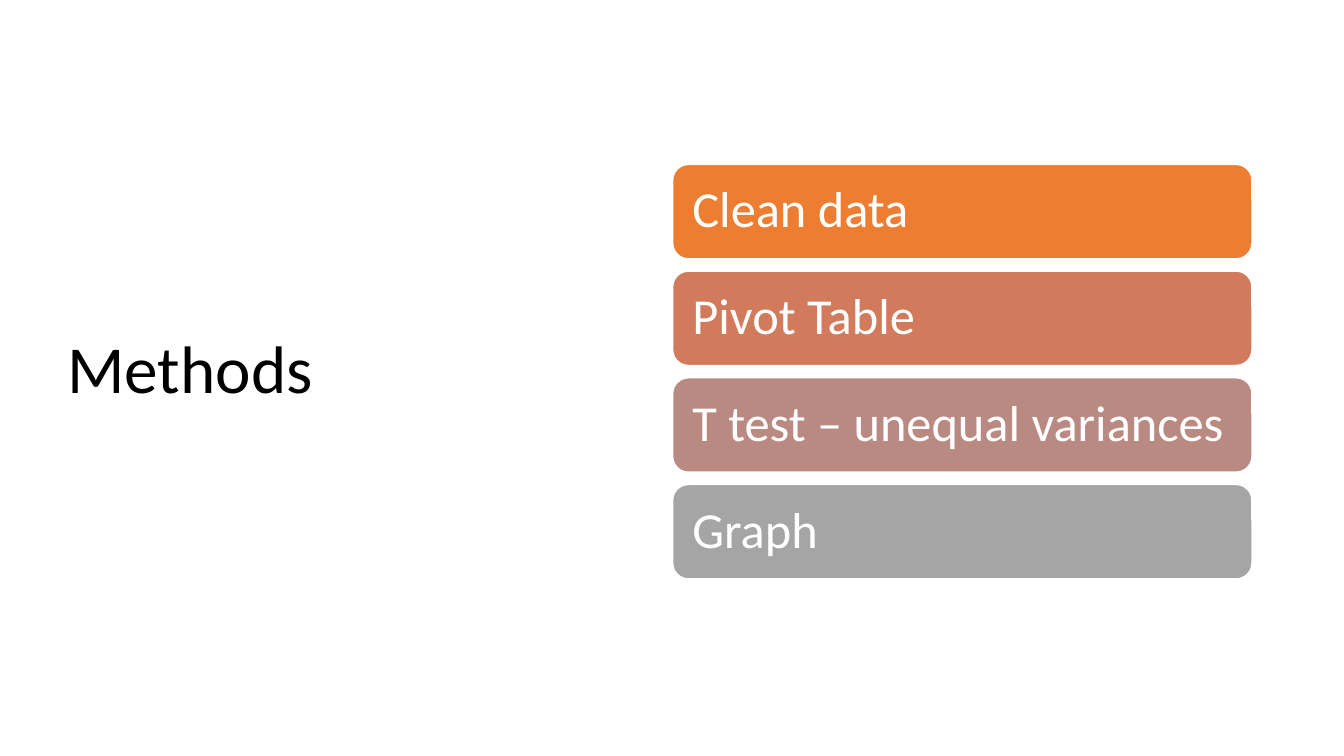
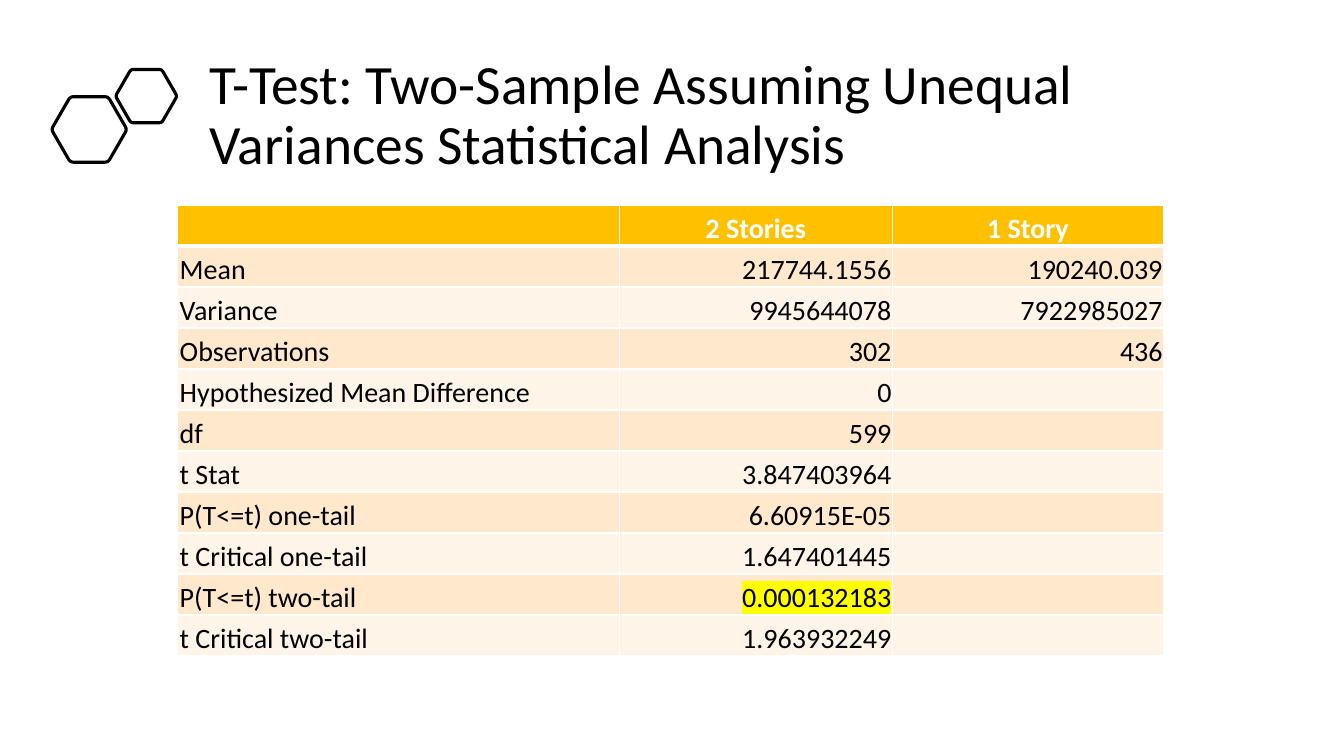
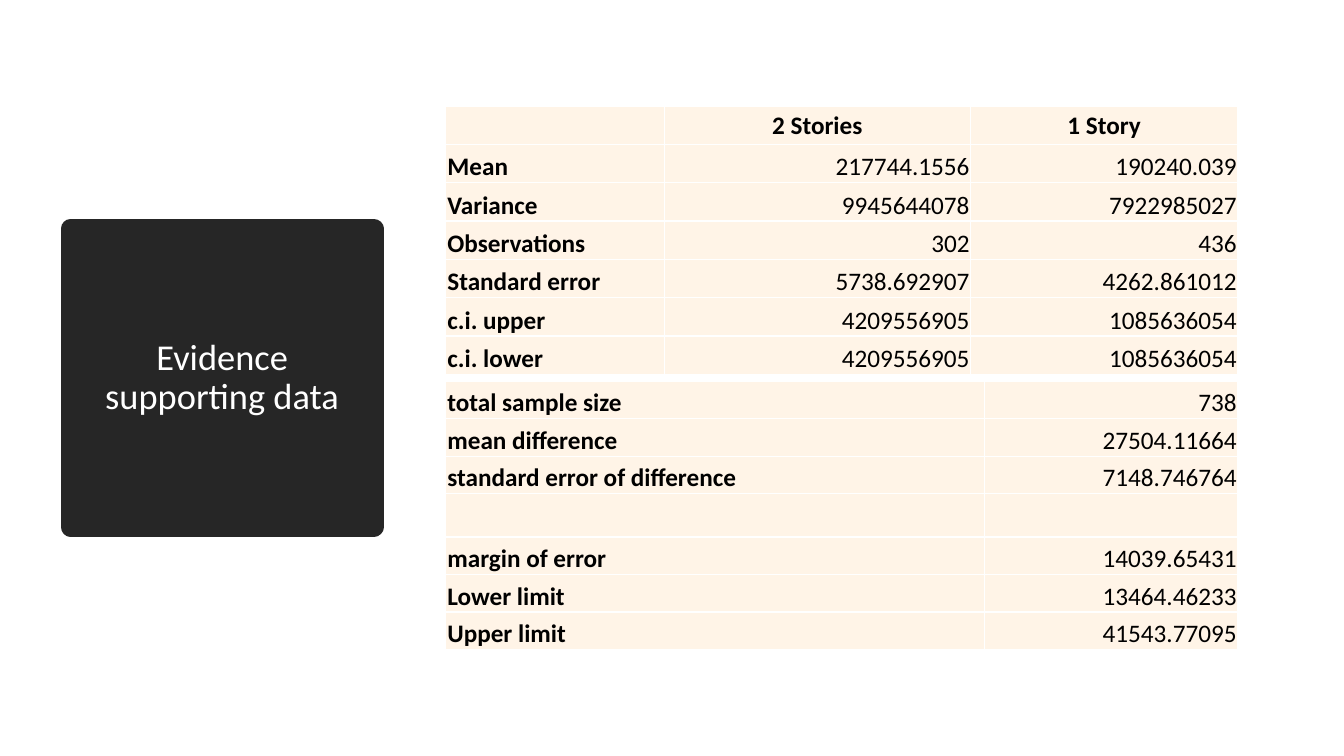
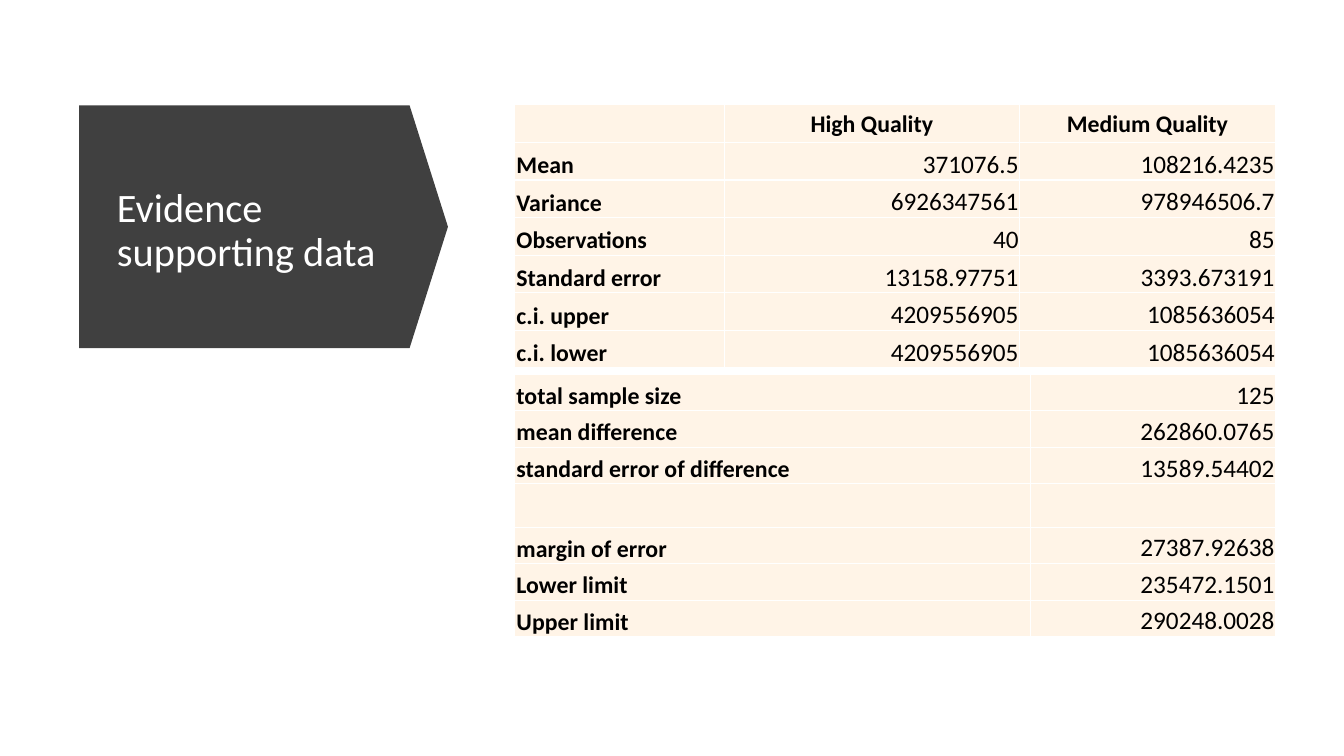
from dataclasses import dataclass
import math

from lxml import etree
from pptx import Presentation
from pptx.dml.color import RGBColor
from pptx.enum import shapes, text
from pptx.oxml import ns
from pptx.util import Pt


@dataclass(frozen=True)
class Theme:
    font: str = "Calibri"
    white: str = "FFFFFF"
    black: str = "000000"
    header: str = "FFC000"
    band: str = "FFE8CC"
    pale: str = "FFF4E7"
    highlight: str = "FFFF00"
    panel: str = "262626"
    arrow: str = "404040"
    steps: tuple = ("ED7D31", "D17B5C", "B98A82", "A5A5A5")
    methods_title: float = 48
    test_title: float = 39.6
    panel_title: float = 26
    arrow_title: float = 28.8
    step: float = 36
    test_table: float = 20
    number: float = 18
    small_label: float = 17


@dataclass(frozen=True)
class TableStyle:
    label_size: float
    number_size: float
    fills: tuple
    label_bold: bool = True
    header_fill: str = ""
    header_color: str = "000000"
    header_anchor: text.MSO_ANCHOR = text.MSO_ANCHOR.MIDDLE
    header_rule: float = 1
    highlighted: str = ""


THEME = Theme()
LEFT, CENTER, RIGHT = text.PP_ALIGN.LEFT, text.PP_ALIGN.CENTER, text.PP_ALIGN.RIGHT

METHODS = ("Clean data", "Pivot Table", "T test – unequal variances", "Graph")

T_TEST = (
    ("", "2 Stories", "1 Story"),
    ("Mean", "217744.1556", "190240.039"),
    ("Variance", "9945644078", "7922985027"),
    ("Observations", "302", "436"),
    ("Hypothesized Mean Difference", "0", ""),
    ("df", "599", ""),
    ("t Stat", "3.847403964", ""),
    ("P(T<=t) one-tail", "6.60915E-05", ""),
    ("t Critical one-tail", "1.647401445", ""),
    ("P(T<=t) two-tail", "0.000132183", ""),
    ("t Critical two-tail", "1.963932249", ""),
)

GROUP_LABELS = ("", "Mean", "Variance", "Observations", "Standard error",
                "c.i. upper", "c.i. lower")
DIFFERENCE_LABELS = ("total sample size", "mean difference", "standard error of difference",
                     "", "margin of error", "Lower limit", "Upper limit")

STORIES = (
    ("2 Stories", "217744.1556", "9945644078", "302", "5738.692907", "4209556905", "4209556905"),
    ("1 Story", "190240.039", "7922985027", "436", "4262.861012", "1085636054", "1085636054"),
)
STORIES_DIFFERENCE = ("738", "27504.11664", "7148.746764", "",
                      "14039.65431", "13464.46233", "41543.77095")

QUALITY = (
    ("High Quality", "371076.5", "6926347561", "40", "13158.97751", "4209556905", "4209556905"),
    ("Medium Quality", "108216.4235", "978946506.7", "85", "3393.673191", "1085636054",
     "1085636054"),
)
QUALITY_DIFFERENCE = ("125", "262860.0765", "13589.54402", "",
                      "27387.92638", "235472.1501", "290248.0028")


def rgb(color):
    return RGBColor.from_string(color)


def add_run(paragraph, words, size, color, bold=False):
    run = paragraph.add_run()
    run.text = words
    run.font.name = THEME.font
    run.font.size = Pt(size)
    run.font.bold = bold
    run.font.color.rgb = rgb(color)
    return run


def highlight_run(run, color):
    highlight = etree.Element(ns.qn("a:highlight"))
    etree.SubElement(highlight, ns.qn("a:srgbClr"), val=color)
    run.font.fill
    run._r.get_or_add_rPr().find(ns.qn("a:latin")).addprevious(highlight)


def paint(shape, fill, line=None, line_width=1):
    shape.shadow.inherit = False
    if fill:
        shape.fill.solid()
        shape.fill.fore_color.rgb = rgb(fill)
    else:
        shape.fill.background()
    if line:
        shape.line.color.rgb = rgb(line)
        shape.line.width = Pt(line_width)
    else:
        shape.line.fill.background()


def add_slide(presentation):
    return presentation.slides.add_slide(presentation.slide_layouts[5])


def write_title(slide, words, box, size, color=THEME.black, align=LEFT):
    title = slide.shapes.title
    title.left, title.top, title.width, title.height = map(Pt, box)
    frame = title.text_frame
    frame.auto_size = text.MSO_AUTO_SIZE.NONE
    frame.word_wrap = True
    frame.vertical_anchor = text.MSO_ANCHOR.MIDDLE
    paragraph = frame.paragraphs[0]
    paragraph.alignment = align
    paragraph.line_spacing = 0.9
    add_run(paragraph, words, size, color)
    slide.shapes.element.append(title.element)
    return title


def add_step(slide, words, box, fill):
    step = slide.shapes.add_shape(shapes.MSO_SHAPE.ROUNDED_RECTANGLE, *map(Pt, box))
    paint(step, fill, THEME.white)
    frame = step.text_frame
    frame.word_wrap = True
    frame.vertical_anchor = text.MSO_ANCHOR.MIDDLE
    frame.margin_left = frame.margin_right = Pt(10.8)
    paragraph = frame.paragraphs[0]
    paragraph.alignment = LEFT
    paragraph.line_spacing = 0.9
    add_run(paragraph, words, THEME.step, THEME.white)


def rounded_hexagon_points(center_x, center_y, radius):
    corners = [(center_x + radius * math.cos(math.radians(60 * i)),
                center_y + radius * math.sin(math.radians(60 * i))) for i in range(6)]
    cut = 0.085
    points = []
    for i, corner in enumerate(corners):
        before, after = corners[i - 1], corners[(i + 1) % 6]
        for t in (0, 0.25, 0.5, 0.75, 1):
            back, ahead = cut * (1 - t) ** 2, cut * t ** 2
            points.append(tuple(
                Pt(c + back * (b - c) + ahead * (a - c))
                for c, b, a in zip(corner, before, after)))
    return points


def add_hexagon(slide, center_x, center_y, radius):
    start, *others = rounded_hexagon_points(center_x, center_y, radius)
    builder = slide.shapes.build_freeform(*start)
    builder.add_line_segments(others, close=True)
    paint(builder.convert_to_shape(), None, THEME.black, 2.25)


def set_borders(cell, top=1, bottom=1):
    properties = cell._tc.get_or_add_tcPr()
    for side, width in (("L", 1), ("R", 1), ("T", top), ("B", bottom)):
        line = etree.SubElement(properties, ns.qn(f"a:ln{side}"), w=str(Pt(width)))
        fill = etree.SubElement(line, ns.qn("a:solidFill"))
        etree.SubElement(fill, ns.qn("a:srgbClr"), val=THEME.white)


def write_cell(cell, words, style, is_header, is_label):
    inset = Pt(1.4) if is_header or is_label else Pt(0.7)
    cell.margin_left = cell.margin_right = cell.margin_top = inset
    cell.margin_bottom = 0
    cell.vertical_anchor = style.header_anchor if is_header else text.MSO_ANCHOR.BOTTOM
    if not words:
        return
    paragraph = cell.text_frame.paragraphs[0]
    paragraph.alignment = CENTER if is_header else LEFT if is_label else RIGHT
    run = add_run(paragraph, words,
                  style.label_size if is_header or is_label else style.number_size,
                  style.header_color if is_header else THEME.black,
                  is_header or (is_label and style.label_bold))
    if words == style.highlighted:
        highlight_run(run, THEME.highlight)


def add_table(slide, rows, position, widths, heights, style, has_header=True):
    frame = slide.shapes.add_table(len(rows), len(widths), *map(Pt, position),
                                   Pt(sum(widths)), Pt(sum(heights)))
    table = frame.table
    table.first_row = table.horz_banding = False
    for column, width in zip(table.columns, widths):
        column.width = Pt(width)
    for i, (values, height) in enumerate(zip(rows, heights)):
        table.rows[i].height = Pt(height)
        is_header = has_header and i == 0
        fill = style.fills[i % len(style.fills)]
        if is_header and style.header_fill:
            fill = style.header_fill
        for j, words in enumerate(values):
            cell = table.cell(i, j)
            write_cell(cell, words, style, is_header, j == 0)
            set_borders(cell, top=style.header_rule if has_header and i == 1 else 1,
                        bottom=style.header_rule if is_header else 1)
            cell.fill.solid()
            cell.fill.fore_color.rgb = rgb(fill)


def add_evidence(slide, groups, differences, left, tops, group_widths, difference_widths,
                 group_height, difference_height, label_size):
    style = TableStyle(label_size, THEME.number, (THEME.pale,))
    add_table(slide, list(zip(GROUP_LABELS, *groups)), (left, tops[0]), group_widths,
              [group_height] * len(GROUP_LABELS), style)
    heights = [difference_height if label else 30.9 for label in DIFFERENCE_LABELS]
    add_table(slide, list(zip(DIFFERENCE_LABELS, differences)), (left, tops[1]),
              difference_widths, heights, style, has_header=False)


def build_methods(presentation):
    slide = add_slide(presentation)
    write_title(slide, "Methods", (41, 49, 408, 433.4), THEME.methods_title)
    for i, (words, fill) in enumerate(zip(METHODS, THEME.steps)):
        add_step(slide, words, (480.5, 117.5 + 76.2 * i, 413.8, 67.4), fill)


def build_t_test(presentation):
    slide = add_slide(presentation)
    write_title(slide, "T-Test: Two-Sample Assuming Unequal Variances Statistical Analysis",
                (142.5, 41, 778.3, 84.2), THEME.test_title)
    add_hexagon(slide, 63.7, 92.5, 27)
    add_hexagon(slide, 104.5, 68.7, 22)
    style = TableStyle(THEME.test_table, THEME.test_table, (THEME.pale, THEME.band),
                       label_bold=False, header_fill=THEME.header, header_color=THEME.white,
                       header_anchor=text.MSO_ANCHOR.BOTTOM, header_rule=3,
                       highlighted="0.000132183")
    add_table(slide, T_TEST, (127, 146.5), (315.4, 195.1, 193.7), [29.3] * len(T_TEST), style)


def build_stories_evidence(presentation):
    slide = add_slide(presentation)
    add_evidence(slide, STORIES, STORIES_DIFFERENCE, 318.2, (75.7, 272.3),
                 (156.2, 218.9, 190.8), (385.2, 180.7), 27.4, 26.8, THEME.number)
    panel = write_title(slide, "Evidence supporting data", (50.4, 163.4, 216.7, 213.1),
                        THEME.panel_title, THEME.white, CENTER)
    paint(panel, THEME.panel, THEME.panel, 13.75)


def build_quality_evidence(presentation):
    slide = add_slide(presentation)
    arrow = slide.shapes.add_shape(shapes.MSO_SHAPE.DOWN_ARROW,
                                   Pt(101.5), Pt(30.2), Pt(173.5), Pt(263.5))
    arrow.rotation = 270
    arrow.adjustments[0] = 1
    arrow.adjustments[1] = 0.158
    paint(arrow, THEME.arrow)
    add_evidence(slide, QUALITY, QUALITY_DIFFERENCE, 367.5, (74.8, 267.4),
                 (149.8, 211, 182.9), (368.6, 175), 26.9, 26.1, THEME.small_label)
    write_title(slide, "Evidence supporting data", (76.3, 95, 210.2, 140.4),
                THEME.arrow_title, THEME.white)


def main():
    presentation = Presentation()
    presentation.slide_width, presentation.slide_height = Pt(960), Pt(540)
    build_methods(presentation)
    build_t_test(presentation)
    build_stories_evidence(presentation)
    build_quality_evidence(presentation)
    presentation.save("out.pptx")


main()
